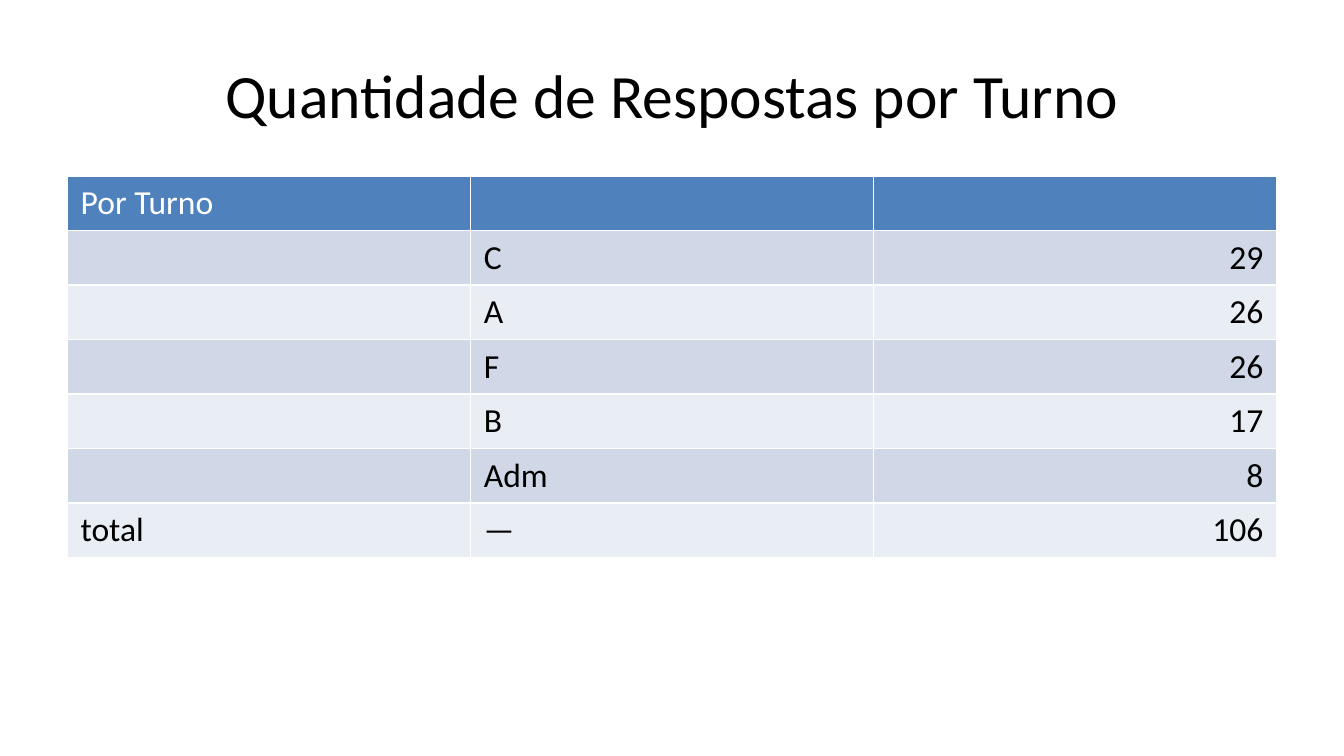
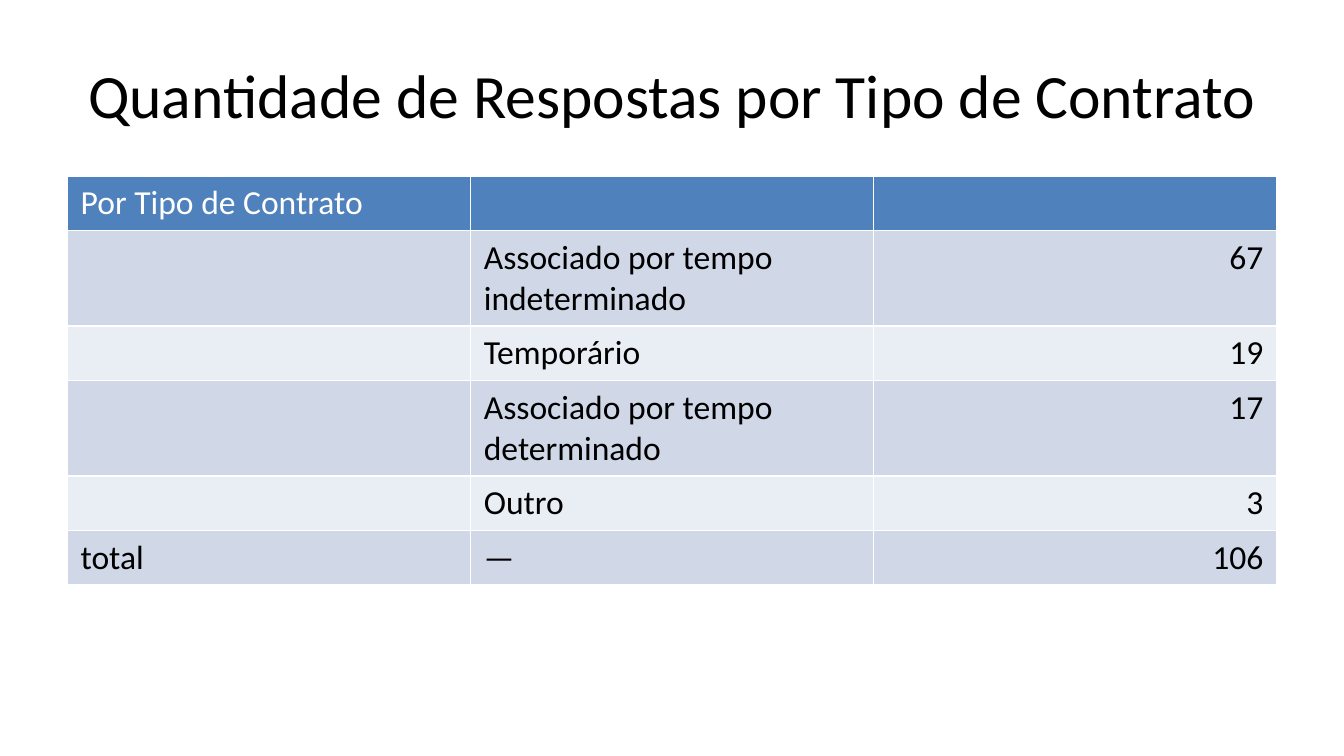
import pptx
import pptx.util
import pptx.dml.color
import pptx.enum.text

Inches = pptx.util.Inches
Pt = pptx.util.Pt
ALIGN = pptx.enum.text.PP_ALIGN
ANCHOR = pptx.enum.text.MSO_ANCHOR

FONT = "Calibri"
BLACK = "000000"
WHITE = "FFFFFF"
HEADER = "4F81BD"
BANDS = ("D0D8E8", "E9EDF4")
MARGIN = 0.5
WIDTH = 9
ROW_HEIGHT = 0.4

SHIFTS = [("C", 29), ("A", 26), ("F", 26), ("B", 17), ("Adm", 8)]
CONTRACTS = [
    ("Associado por tempo indeterminado", 67),
    ("Temporário", 19),
    ("Associado por tempo determinado", 17),
    ("Outro", 3),
]


def rgb(color):
    return pptx.dml.color.RGBColor.from_string(color)


def style(p, size, color, align):
    p.alignment = align
    p.font.name = FONT
    p.font.size = Pt(size)
    p.font.bold = False
    p.font.color.rgb = rgb(color)


def add_title(s, text):
    sp = s.shapes.title
    sp.left, sp.top = Inches(MARGIN), Inches(0.23)
    sp.width, sp.height = Inches(WIDTH), Inches(0.94)
    tf = sp.text_frame
    tf.text = text
    tf.vertical_anchor = ANCHOR.MIDDLE
    style(tf.paragraphs[0], 33, BLACK, ALIGN.CENTER)


def fill_cell(cell, text, fill, color, align):
    cell.fill.solid()
    cell.fill.fore_color.rgb = rgb(fill)
    cell.text = text
    style(cell.text_frame.paragraphs[0], 18, color, align)


def add_count_table(s, heading, counts):
    total = sum(count for _, count in counts)
    rows = [(heading, "", "")]
    rows += [("", name, str(count)) for name, count in counts]
    rows.append(("total", "—", str(total)))
    frame = s.shapes.add_table(
        len(rows), 3, Inches(MARGIN), Inches(1.31),
        Inches(WIDTH), Inches(ROW_HEIGHT * len(rows)))
    for i, row in enumerate(rows):
        fill = BANDS[(i - 1) % 2] if i else HEADER
        color = BLACK if i else WHITE
        for j, text in enumerate(row):
            align = ALIGN.RIGHT if j == 2 else ALIGN.LEFT
            fill_cell(frame.table.cell(i, j), text, fill, color, align)
    frame.height = Inches(3.71)


def add_count_slide(prs, subject, counts):
    s = prs.slides.add_slide(prs.slide_layouts[5])
    add_title(s, f"Quantidade de Respostas por {subject}")
    add_count_table(s, f"Por {subject}", counts)


def main():
    prs = pptx.Presentation()
    prs.slide_width = Inches(10)
    prs.slide_height = Inches(10 * 9 / 16)
    add_count_slide(prs, "Turno", SHIFTS)
    add_count_slide(prs, "Tipo de Contrato", CONTRACTS)
    prs.save("out.pptx")


if __name__ == "__main__":
    main()
